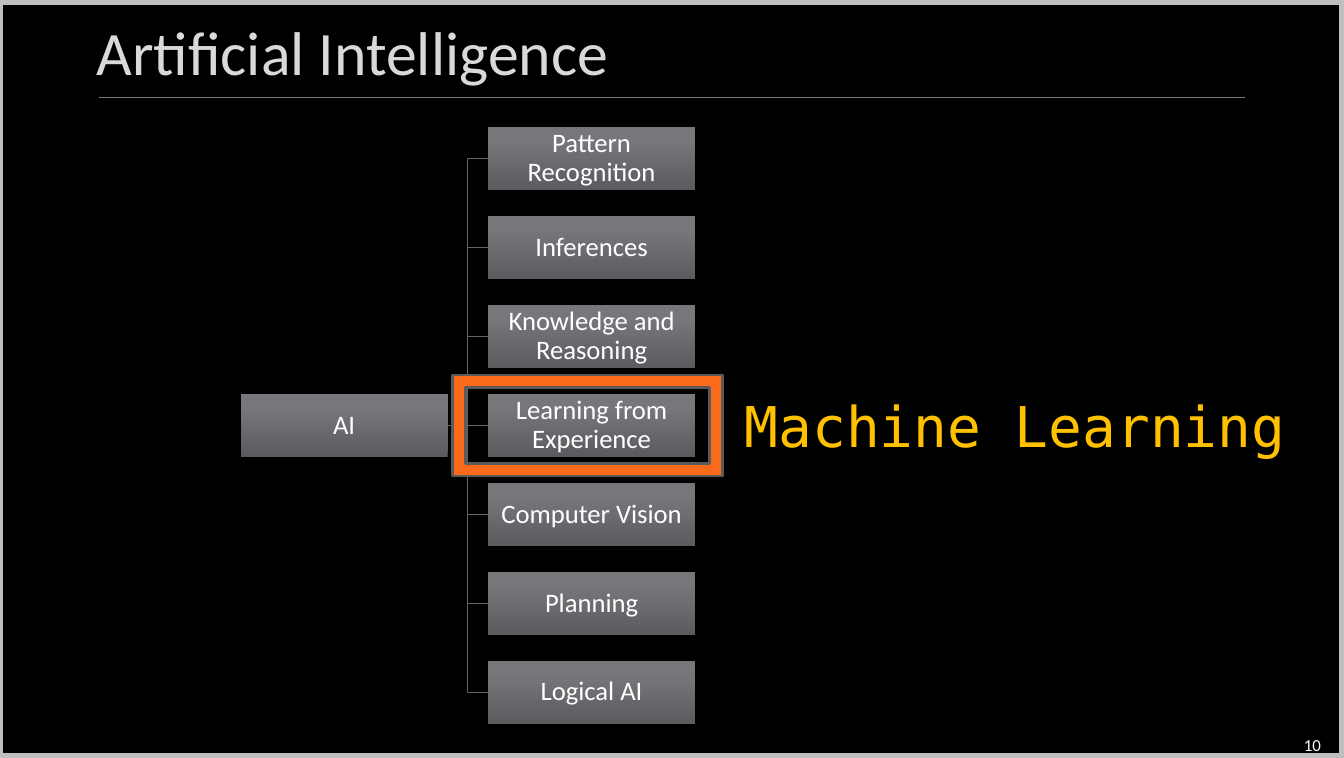
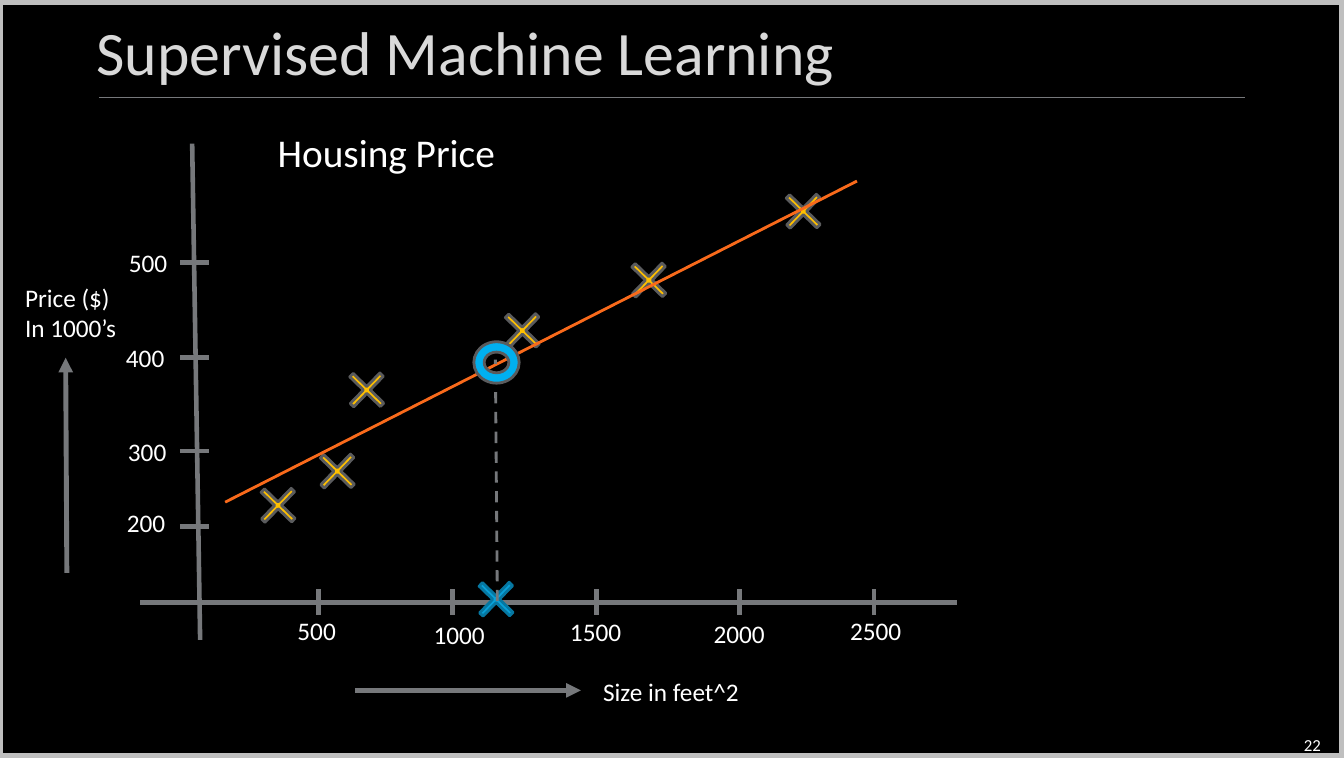
import lxml.etree
import pptx
import pptx.dml.color
import pptx.enum.dml
import pptx.enum.shapes
import pptx.enum.text
import pptx.oxml.ns
import pptx.util

Cm = pptx.util.Cm
Pt = pptx.util.Pt
SHAPE = pptx.enum.shapes.MSO_SHAPE
CONNECTOR = pptx.enum.shapes.MSO_CONNECTOR
ALIGN = pptx.enum.text.PP_ALIGN
ANCHOR = pptx.enum.text.MSO_ANCHOR

COLORS = {
    "background": "000000",
    "border": "BFBFBF",
    "title": "D9D9D9",
    "text": "FFFFFF",
    "axis": "76787B",
    "branch": "616365",
    "node_bottom": "5A5C5F",
    "node_top": "75777B",
    "outline": "5A5B5D",
    "orange": "F96A1B",
    "gold": "FFC000",
    "query": "08A1D9",
    "query_outline": "0677A1",
    "prediction": "00B0F0",
}
BODY_FONT = "Calibri"
CODE_FONT = "DejaVu Sans Mono"
SLIDE_W, SLIDE_H = 33.78, 19.05

ABILITIES = [
    "Pattern Recognition",
    "Inferences",
    "Knowledge and Reasoning",
    "Learning from Experience",
    "Computer Vision",
    "Planning",
    "Logical AI",
]
HIGHLIGHTED = "Learning from Experience"

# Each entry: label, tick position, label centre, label top
SIZE_TICKS = [
    ("500", 7.62, 7.58, 12.24),
    ("1000", 11.0, 11.16, 12.34),
    ("1500", 14.61, 14.59, 12.27),
    ("2000", 18.21, 18.2, 12.32),
    ("2500", 21.59, 21.63, 12.24),
]
PRICE_TICKS = [
    ("200", 10.13, 3.29, 9.52),
    ("300", 8.23, 3.32, 7.75),
    ("400", 5.89, 3.27, 5.38),
    ("500", 3.49, 3.34, 3.0),
]
HOUSES = [
    (6.61, 9.6),
    (8.1, 8.74),
    (8.84, 6.7),
    (12.75, 5.21),
    (15.93, 3.94),
    (19.81, 2.21),
]


def rgb(name):
    """Return the named palette colour."""
    return pptx.dml.color.RGBColor.from_string(COLORS[name])


def write(frame, text, size, color="text", font=BODY_FONT, align=ALIGN.LEFT):
    """Fill a text frame and format every paragraph alike."""
    frame.text = text
    for paragraph in frame.paragraphs:
        paragraph.alignment = align
        paragraph.font.size = Pt(size)
        paragraph.font.name = font
        paragraph.font.color.rgb = rgb(color)


def add_text(slide, box, text, size, anchor=ANCHOR.TOP, wrap=False, **style):
    """Add a text box at box, given as left, top, width, height in cm."""
    frame = slide.shapes.add_textbox(*map(Cm, box)).text_frame
    frame.word_wrap = wrap
    frame.vertical_anchor = anchor
    write(frame, text, size, **style)
    return frame


def add_preset(slide, kind, box, fill, outline, weight=2):
    """Add a preset shape with a flat fill, or none, and an outline."""
    preset = slide.shapes.add_shape(kind, *map(Cm, box))
    preset.shadow.inherit = False
    if fill:
        preset.fill.solid()
        preset.fill.fore_color.rgb = rgb(fill)
    else:
        preset.fill.background()
    preset.line.color.rgb = rgb(outline)
    preset.line.width = Pt(weight)
    return preset


def add_line(slide, start, end, color="axis", weight=3.25,
             kind=CONNECTOR.STRAIGHT, dashed=False, arrow=False):
    """Add a connector between two points in cm."""
    line = slide.shapes.add_connector(kind, *map(Cm, (*start, *end)))
    line.line.color.rgb = rgb(color)
    line.line.width = Pt(weight)
    if dashed:
        line.line.dash_style = pptx.enum.dml.MSO_LINE.DASH
    qn = pptx.oxml.ns.qn
    properties = line._element.spPr
    if arrow:
        outline = properties.find(qn("a:ln"))
        lxml.etree.SubElement(outline, qn("a:tailEnd"), type="triangle")
    lxml.etree.SubElement(properties, qn("a:effectLst"))
    return line


def add_base(deck, title, number):
    """Add a slide with border, title, rule and page number."""
    slide = deck.slides.add_slide(deck.slide_layouts[6])
    add_preset(slide, SHAPE.RECTANGLE, (-0.05, 0, SLIDE_W + 0.05, SLIDE_H),
               None, "border", 7.25)
    page = add_text(slide, (25.58, 18.41, 7.87, 0.62), number, 12,
                    anchor=ANCHOR.MIDDLE, wrap=True, align=ALIGN.RIGHT)
    page.margin_top = page.margin_bottom = 0
    add_text(slide, (2.18, 0, 28, 2.54), title, 44, anchor=ANCHOR.MIDDLE,
             wrap=True, color="title")
    add_line(slide, (2.49, 2.46), (31.29, 2.46), weight=0.75)
    return slide


def add_node(slide, box, text):
    """Add one shaded node of the tree."""
    node = add_preset(slide, SHAPE.RECTANGLE, box, None, "outline")
    node.line.fill.background()
    node.fill.gradient()
    node.fill.gradient_angle = 90
    bottom, top = node.fill.gradient_stops
    bottom.color.rgb, bottom.position = rgb("node_bottom"), 0
    top.color.rgb, top.position = rgb("node_top"), 0.8
    frame = node.text_frame
    frame.word_wrap = True
    frame.vertical_anchor = ANCHOR.MIDDLE
    frame.margin_left = frame.margin_right = Cm(0.03)
    frame.margin_top = frame.margin_bottom = Cm(0.03)
    write(frame, text, 19, align=ALIGN.CENTER)
    frame.paragraphs[0].line_spacing = 0.9
    return node


def add_tree(slide, box):
    """Draw the root, its branches and the highlighted node within box."""
    left, top, width, height = box
    node_w, node_h = 5.2, 1.58
    pitch = (height - node_h) / (len(ABILITIES) - 1)
    child_left = left + width - node_w
    middle = top + height / 2
    root = add_node(slide, (left, middle - node_h / 2, node_w, node_h), "AI")
    for row, ability in enumerate(ABILITIES):
        child_top = top + row * pitch
        child = add_node(slide, (child_left, child_top, node_w, node_h), ability)
        branch = add_line(slide, (left + node_w, middle),
                          (child_left, child_top + node_h / 2),
                          "branch", 0.75, CONNECTOR.ELBOW)
        branch.begin_connect(root, 3)
        branch.end_connect(child, 1)
    marked_top = top + ABILITIES.index(HIGHLIGHTED) * pitch
    add_preset(slide, SHAPE.FRAME,
               (child_left - 0.89, marked_top - 0.48, 6.78, node_h + 0.96),
               "orange", "outline")
    add_text(slide, (child_left + 6.2, marked_top - 0.2, 14.2, 1.96),
             "Machine Learning", 40, color="gold", font=CODE_FONT)


def add_cross(slide, center, fill, outline):
    """Mark a point with a thin cross turned on its corner."""
    x, y = center
    side = 1.07
    cross = add_preset(slide, SHAPE.CROSS,
                       (x - side / 2, y - side / 2, side, side), fill, outline)
    cross.adjustments[0] = 0.443
    cross.rotation = 314.1


def add_price_plot(slide, left, top):
    """Draw the housing price plot from its top left corner."""

    def at(x, y):
        """Shift a point of the plot onto the slide."""
        return left + x, top + y

    def label(x, y, width, height, text, size=18, **style):
        """Write a label of the plot."""
        add_text(slide, (*at(x, y), width, height), text, size, **style)

    add_line(slide, at(4.45, 0.51), at(4.65, 12.98))
    add_line(slide, at(3.15, 12.04), at(23.67, 12.04))
    for text, x, center, label_top in SIZE_TICKS:
        add_line(slide, at(x, 11.71), at(x, 12.35))
        label(center - 0.9, label_top, 1.8, 1.02, text, align=ALIGN.CENTER)
    for text, y, center, label_top in PRICE_TICKS:
        add_line(slide, at(4.14, y), at(4.88, y))
        label(center - 0.9, label_top, 1.8, 1.02, text, align=ALIGN.CENTER)
    for house in HOUSES:
        add_cross(slide, at(*house), "gold", "outline")

    add_line(slide, at(8.54, 14.25), at(14.22, 14.25), weight=3.5, arrow=True)
    label(14.53, 13.77, 3.96, 1.02, "Size in feet^2")
    add_line(slide, at(1.3, 11.3), at(1.27, 5.89), weight=3.5, arrow=True)
    label(0, 3.86, 2.82, 1.8, "Price ($)\nIn 1000’s")
    label(6.35, 0, 6.05, 1.45, "Housing Price", 28)

    add_line(slide, at(5.28, 9.52), at(21.16, 1.45), "orange", 2)
    add_cross(slide, at(12.09, 11.96), "query", "query_outline")
    add_line(slide, at(12.12, 12.01), at(12.07, 5.94), weight=2, dashed=True)
    add_preset(slide, SHAPE.DONUT, (*at(11.53, 5.49), 1.14, 1.04),
               "prediction", "outline")


def main():
    """Build and save the deck."""
    deck = pptx.Presentation()
    deck.slide_width, deck.slide_height = Cm(SLIDE_W), Cm(SLIDE_H)
    backdrop = deck.slide_master.background.fill
    backdrop.solid()
    backdrop.fore_color.rgb = rgb("background")

    intelligence = add_base(deck, "Artificial Intelligence", "10")
    add_tree(intelligence, (6.05, 3.2, 11.42, 14.99))

    supervised = add_base(deck, "Supervised Machine Learning", "22")
    add_price_plot(supervised, 0.38, 3.1)

    deck.save("out.pptx")


if __name__ == "__main__":
    main()
